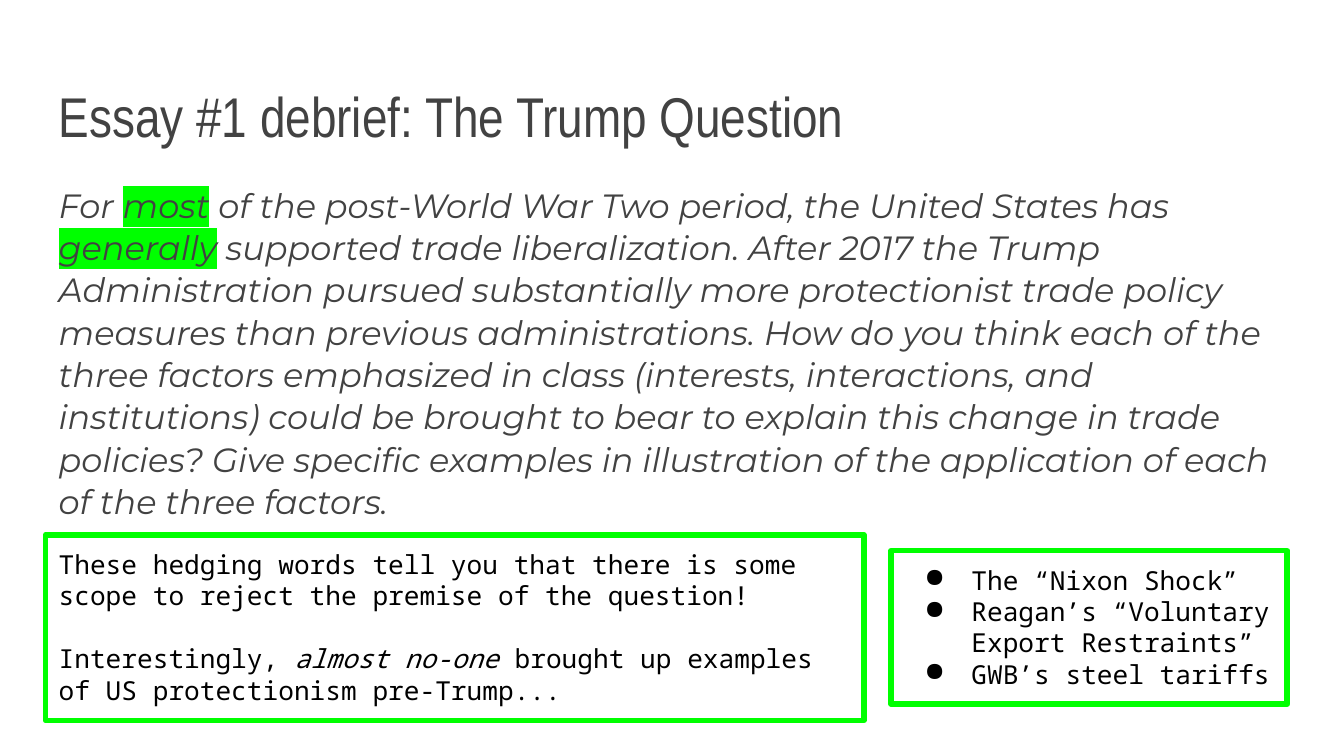
from lxml.etree import SubElement
from pptx import Presentation
from pptx.dml.color import RGBColor
from pptx.enum.text import MSO_ANCHOR, MSO_AUTO_SIZE
from pptx.oxml.ns import qn
from pptx.util import Cm, Pt

COLORS = {"ink": "424242", "black": "000000", "white": "FFFFFF", "green": "00FF00"}

# A paragraph is a list of (text, style) runs; styles: "", "mark", "italic"
title = [[("Essay #1 debrief: The Trump Question", "")]]
question = [[
    ("For ", ""),
    ("most", "mark"),
    (" of the post-World War Two period, the United States has ", ""),
    ("generally", "mark"),
    (" supported trade liberalization. After 2017 the Trump Administration pursued "
     "substantially more protectionist trade policy measures than previous "
     "administrations. How do you think each of the three factors emphasized in class "
     "(interests, interactions, and institutions) could be brought to bear to explain "
     "this change in trade policies? Give specific examples in illustration of the "
     "application of each of the three factors.", ""),
]]
hedging_note = [
    [("These hedging words tell you that there is some scope to reject the premise "
      "of the question!", "")],
    [("Interestingly, ", ""),
     ("almost no-one", "italic"),
     (" brought up examples of US protectionism pre-Trump...", "")],
]
counterexamples = [
    [("The “Nixon Shock”", "")],
    [("Reagan’s “Voluntary Export Restraints”", "")],
    [("GWB’s steel tariffs", "")],
]

LEFT = 0.86
FULL_WIDTH = 23.67


def rgb(name):
    return RGBColor.from_string(COLORS[name])


def highlight(run, color):
    """Mark a run; the highlight must directly follow the text fill."""
    properties = run._r.get_or_add_rPr()
    mark = SubElement(properties, qn("a:highlight"))
    SubElement(mark, qn("a:srgbClr"), val=COLORS[color])
    properties.find(qn("a:solidFill")).addnext(mark)


def add_bullet(paragraph, color):
    properties = paragraph._p.get_or_add_pPr()
    properties.set("marL", str(Cm(1.27)))
    properties.set("indent", str(Cm(-0.89)))
    bullet_color = SubElement(properties, qn("a:buClr"))
    SubElement(bullet_color, qn("a:srgbClr"), val=COLORS[color])
    SubElement(properties, qn("a:buChar"), char="●")


def add_text(slide, paragraphs, left, top, width, height, *, font, size, color="black",
             italic=False, fill=None, outline=None, anchor=MSO_ANCHOR.TOP,
             line_spacing=None, gap=0, bullets=False, grow=False):
    box = slide.shapes.add_textbox(Cm(left), Cm(top), Cm(width), Cm(height))
    if fill:
        box.fill.solid()
        box.fill.fore_color.rgb = rgb(fill)
    if outline:
        box.line.color.rgb = rgb(outline)
        box.line.width = Pt(3)

    frame = box.text_frame
    frame.word_wrap = True
    frame.auto_size = MSO_AUTO_SIZE.SHAPE_TO_FIT_TEXT if grow else MSO_AUTO_SIZE.NONE
    frame.vertical_anchor = anchor
    frame.margin_left = frame.margin_right = Cm(0.25)
    frame.margin_top = frame.margin_bottom = Cm(0.25)

    for index, runs in enumerate(paragraphs):
        paragraph = frame.add_paragraph() if index else frame.paragraphs[0]
        if line_spacing:
            paragraph.line_spacing = line_spacing
        if index and gap:
            paragraph.space_before = Pt(gap)
        if bullets:
            add_bullet(paragraph, color)
        for text, style in runs:
            run = paragraph.add_run()
            run.text = text
            run.font.name = font
            run.font.size = Pt(size)
            run.font.italic = italic or style == "italic"
            run.font.color.rgb = rgb(color)
            if style == "mark":
                highlight(run, "green")


def main():
    deck = Presentation()
    deck.slide_width, deck.slide_height = Cm(25.4), Cm(14.29)
    slide = deck.slides.add_slide(deck.slide_layouts[6])

    add_text(slide, title, LEFT, 1.04, FULL_WIDTH, 2.03, font="Arial Narrow", size=30,
             color="ink", anchor=MSO_ANCHOR.BOTTOM)
    add_text(slide, question, LEFT, 3.2, FULL_WIDTH, 9.5, font="Montserrat", size=18,
             color="ink", italic=True, fill="white", line_spacing=1.05)

    callout = dict(font="Noto Sans Mono", size=14, outline="green", grow=True)
    add_text(slide, hedging_note, LEFT, 10.11, 15.47, 3.51, gap=17, **callout)
    add_text(slide, counterexamples, 16.84, 10.41, 7.49, 2.9, fill="white",
             bullets=True, **callout)

    deck.save("out.pptx")


if __name__ == "__main__":
    main()
